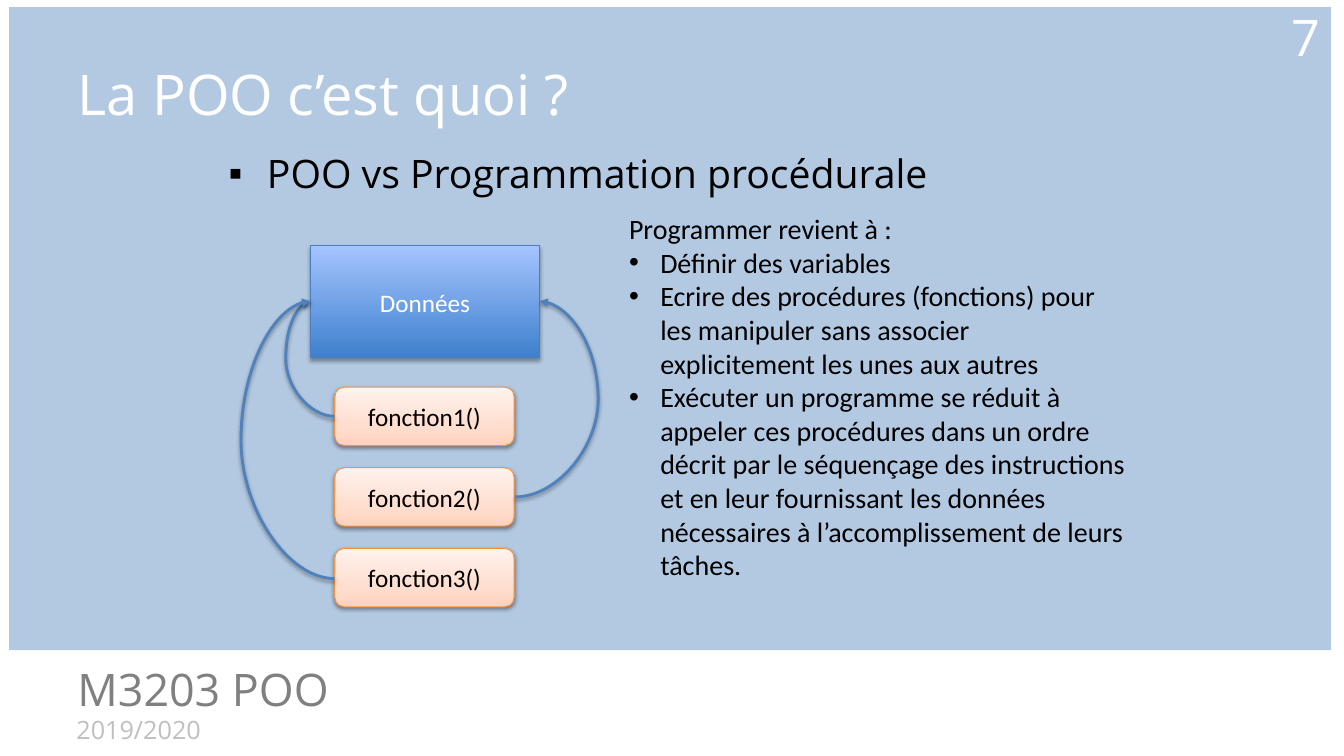
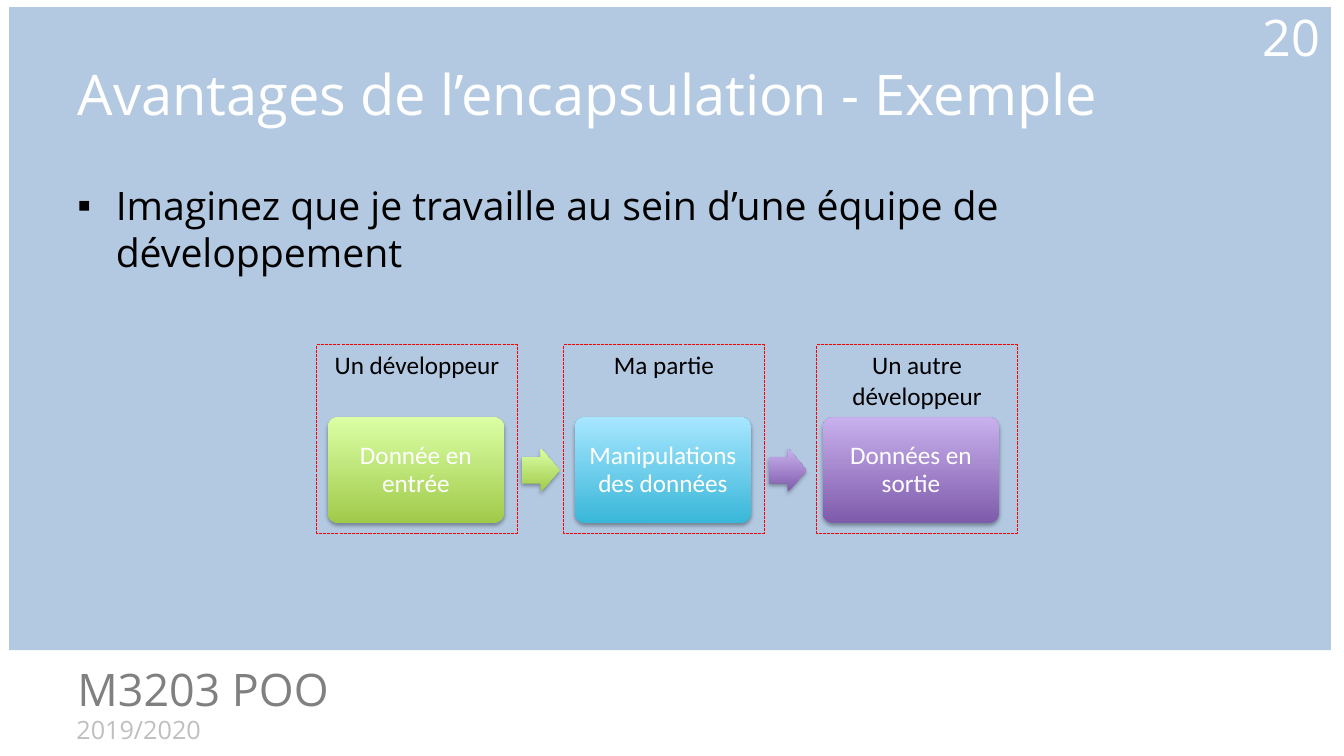
from copy import deepcopy
from dataclasses import dataclass

from lxml import etree
from pptx import Presentation
from pptx.dml.color import RGBColor
from pptx.enum.dml import MSO_LINE
from pptx.enum.shapes import MSO_CONNECTOR, MSO_SHAPE
from pptx.enum.text import MSO_ANCHOR, MSO_AUTO_SIZE, PP_ALIGN
from pptx.oxml.ns import qn
from pptx.util import Emu, Pt

RECTANGLE = MSO_SHAPE.RECTANGLE
ROUNDED = MSO_SHAPE.ROUNDED_RECTANGLE
ARROW = MSO_SHAPE.RIGHT_ARROW
CURVE = MSO_CONNECTOR.CURVE
DASH = MSO_LINE.SQUARE_DOT
LEFT, CENTER, RIGHT = PP_ALIGN.LEFT, PP_ALIGN.CENTER, PP_ALIGN.RIGHT
TOP, MIDDLE = MSO_ANCHOR.TOP, MSO_ANCHOR.MIDDLE

# Shared look
EMU_PER_PX = 9144  # 100 px to the inch
HEADING_FONT, BODY_FONT = "Open Sans", "Calibri"
WHITE, BLACK = "FFFFFF", "000000"
BAND, FOOTER, YEAR = "95B3D7", "808080", "BFBFBF"
CONNECTOR, FRAME = "4F81BD", "FF0000"

Box = tuple[int, int, int, int]
Point = tuple[int, int]


@dataclass(frozen=True)
class Style:
    size: int
    color: str = BLACK
    font: str = BODY_FONT
    align: PP_ALIGN = LEFT
    anchor: MSO_ANCHOR = TOP


@dataclass(frozen=True)
class Line:
    text: str
    bullet: str = ""
    indent: int = 0


@dataclass(frozen=True)
class Shadow:
    alpha: int
    blur: float
    distance: float


@dataclass(frozen=True)
class Look:
    stops: tuple[tuple[int, str], ...]
    shadow: Shadow
    outline: str = ""


@dataclass(frozen=True)
class Curve:
    begin: Point
    end: Point
    bend: float


@dataclass(frozen=True)
class Step:
    text: str
    look: Look
    frame_left: int
    owner: str


TITLE_STYLE = Style(40, WHITE, HEADING_FONT, LEFT, MIDDLE)
NUMBER_STYLE = Style(36, WHITE, HEADING_FONT, RIGHT, MIDDLE)
POINT_STYLE = Style(28, BLACK, HEADING_FONT)
LABEL_DARK = Style(18, BLACK, align=CENTER, anchor=MIDDLE)
LABEL_LIGHT = Style(18, WHITE, align=CENTER, anchor=MIDDLE)
OWNER_STYLE = Style(18, BLACK, align=CENTER)

STRONG_SHADOW = Shadow(35, 3.1, 1.8)
SOFT_SHADOW = Shadow(38, 3.1, 1.6)
DATA_LOOK = Look(((0, "3F80CE"), (100, "A4C4FF")), STRONG_SHADOW, "4B7EBC")
FUNCTION_LOOK = Look(
    ((0, "FFD2BD"), (35, "FFDED0"), (100, "FFF2ED")), SOFT_SHADOW, "F69240"
)
GREEN_LOOK = Look(((0, "A0CA4A"), (100, "DAFFA5")), STRONG_SHADOW)
CYAN_LOOK = Look(((0, "39B7D8"), (100, "A7E6FF")), STRONG_SHADOW)
PURPLE_LOOK = Look(((0, "7F5BAB"), (100, "C8B0ED")), STRONG_SHADOW)

# Slide contents
PROCEDURAL_LINES = [
    Line("Programmer revient à :"),
    Line("Définir des variables", "•", 31),
    Line(
        "Ecrire des procédures (fonctions) pour les manipuler sans associer "
        "explicitement les unes aux autres", "•", 31,
    ),
    Line(
        "Exécuter un programme se réduit à appeler ces procédures dans un ordre "
        "décrit par le séquençage des instructions et en leur fournissant les "
        "données nécessaires à l’accomplissement de leurs tâches.", "•", 31,
    ),
]
CURVES = [
    Curve((332, 413), (308, 299), 2.02),
    Curve((511, 493), (535, 299), 3.43),
    Curve((332, 574), (308, 299), 3.87),
]
STEPS = [
    Step("Donnée en entrée", GREEN_LOOK, 314, "Un développeur"),
    Step("Manipulations des données", CYAN_LOOK, 559, "Ma partie"),
    Step("Données en sortie", PURPLE_LOOK, 810, "Un autre développeur"),
]
ARROW_LOOKS = [GREEN_LOOK, PURPLE_LOOK]


def px(length: int) -> Emu:
    return Emu(length * EMU_PER_PX)


def color(value: str) -> RGBColor:
    return RGBColor.from_string(value)


def add_bullet(paragraph, line: Line) -> None:
    properties = paragraph._p.get_or_add_pPr()
    properties.set("marL", str(px(line.indent)))
    properties.set("indent", str(-px(line.indent)))
    etree.SubElement(properties, qn("a:buFont")).set("typeface", "Arial")
    etree.SubElement(properties, qn("a:buChar")).set("char", line.bullet)


def write(shape, lines: list[Line], style: Style) -> None:
    frame = shape.text_frame
    frame.word_wrap = True
    frame.auto_size = MSO_AUTO_SIZE.NONE
    frame.vertical_anchor = style.anchor
    for index, line in enumerate(lines):
        paragraph = frame.add_paragraph() if index else frame.paragraphs[0]
        paragraph.alignment = style.align
        if line.bullet:
            add_bullet(paragraph, line)
        run = paragraph.add_run()
        run.text = line.text
        run.font.name = style.font
        run.font.size = Pt(style.size)
        run.font.color.rgb = color(style.color)


def add_text(slide, box: Box, lines: list[Line], style: Style) -> None:
    write(slide.shapes.add_textbox(*map(px, box)), lines, style)


def add_plain_shape(slide, kind: MSO_SHAPE, box: Box):
    shape = slide.shapes.add_shape(kind, *map(px, box))
    shape.shadow.inherit = False
    shape.fill.background()
    shape.line.fill.background()
    return shape


def cast_shadow(effects, shadow: Shadow) -> None:
    outer = etree.SubElement(effects, qn("a:outerShdw"))
    outer.set("blurRad", str(Pt(shadow.blur)))
    outer.set("dist", str(Pt(shadow.distance)))
    outer.set("dir", "5400000")
    outer.set("rotWithShape", "0")
    shade = etree.SubElement(outer, qn("a:srgbClr"))
    shade.set("val", BLACK)
    etree.SubElement(shade, qn("a:alpha")).set("val", str(shadow.alpha * 1000))


def add_glossy_shape(slide, kind: MSO_SHAPE, box: Box, look: Look):
    shape = add_plain_shape(slide, kind, box)
    properties = shape.element.spPr
    shape.fill.gradient()
    shape.fill.gradient_angle = 90
    stop_list = properties.find(".//" + qn("a:gsLst"))
    while len(stop_list) < len(look.stops):
        stop_list.insert(1, deepcopy(stop_list[0]))
    for stop, (position, value) in zip(shape.fill.gradient_stops, look.stops):
        stop.position = position / 100
        stop.color.rgb = color(value)
    if look.outline:
        shape.line.color.rgb = color(look.outline)
        shape.line.width = Pt(0.75)
    cast_shadow(properties.find(qn("a:effectLst")), look.shadow)
    return shape


def add_curve(slide, curve: Curve) -> None:
    connector = slide.shapes.add_connector(
        CURVE, *map(px, curve.begin + curve.end)
    )
    connector.line.color.rgb = color(CONNECTOR)
    connector.line.width = Pt(2)
    properties = connector.element.spPr
    guides = properties.find(qn("a:prstGeom")).get_or_add_avLst()
    guide = etree.SubElement(guides, qn("a:gd"))
    guide.set("name", "adj1")
    guide.set("fmla", f"val {round(curve.bend * 100000)}")
    tail = etree.SubElement(properties.find(qn("a:ln")), qn("a:tailEnd"))
    tail.set("type", "triangle")
    cast_shadow(etree.SubElement(properties, qn("a:effectLst")), SOFT_SHADOW)


def add_base_slide(presentation, title: str, number: int):
    """Add a slide with the band, footers, title and number."""
    slide = presentation.slides.add_slide(presentation.slide_layouts[5])
    band = add_plain_shape(slide, RECTANGLE, (9, 7, 1311, 638))
    band.fill.solid()
    band.fill.fore_color.rgb = color(BAND)
    tint = band.element.spPr.find(".//" + qn("a:srgbClr"))
    etree.SubElement(tint, qn("a:alpha")).set("val", "71000")

    add_text(slide, (66, 704, 533, 40), [Line("2019/2020")],
             Style(18, YEAR, HEADING_FONT))
    add_text(slide, (67, 652, 683, 64), [Line("M3203 POO")],
             Style(32, FOOTER, HEADING_FONT))

    heading = slide.shapes.title
    heading.left, heading.top, heading.width, heading.height = map(
        px, (67, 30, 1200, 125)
    )
    write(heading, [Line(title)], TITLE_STYLE)
    # The band goes behind the title placeholder
    slide.shapes.element.append(heading.element)
    add_text(slide, (1150, 7, 169, 58), [Line(str(number))], NUMBER_STYLE)
    return slide


def build_procedural_slide(presentation) -> None:
    slide = add_base_slide(presentation, "La POO c’est quoi ?", 7)
    add_text(slide, (217, 143, 900, 457),
             [Line("POO vs Programmation procédurale", "▪", 38)], POINT_STYLE)

    # Data and the functions that reach it
    data = add_glossy_shape(slide, RECTANGLE, (308, 244, 227, 111), DATA_LOOK)
    write(data, [Line("Données")], LABEL_LIGHT)
    for index in range(3):
        box = (332, 384 + 80 * index, 178, 58)
        function = add_glossy_shape(slide, ROUNDED, box, FUNCTION_LOOK)
        write(function, [Line(f"fonction{index + 1}()")], LABEL_DARK)
    for curve in CURVES:
        add_curve(slide, curve)

    add_text(slide, (614, 205, 515, 380), PROCEDURAL_LINES, Style(20))


def build_example_slide(presentation) -> None:
    slide = add_base_slide(
        presentation, "Avantages de l’encapsulation - Exemple", 20
    )
    add_text(
        slide, (67, 175, 1200, 457),
        [Line("Imaginez que je travaille au sein d’une équipe de développement",
              "▪", 38)],
        POINT_STYLE,
    )

    # Steps of the process, each in the frame of its owner
    for index, step in enumerate(STEPS):
        offset = 491 * index // 2
        frame = add_plain_shape(
            slide, RECTANGLE, (step.frame_left, 342, 199, 187)
        )
        frame.line.color.rgb = color(FRAME)
        frame.line.width = Pt(0.75)
        frame.line.dash_style = DASH
        write(frame, [Line(step.owner)], OWNER_STYLE)

        card = add_glossy_shape(
            slide, ROUNDED, (325 + offset, 414, 175, 105), step.look
        )
        card.adjustments[0] = 0.1
        card.text_frame.margin_left = card.text_frame.margin_right = px(7)
        write(card, [Line(step.text)], LABEL_LIGHT)
        card.text_frame.paragraphs[0].line_spacing = 0.9

        if index < len(ARROW_LOOKS):
            arrow = add_glossy_shape(
                slide, ARROW, (518 + offset, 445, 37, 43), ARROW_LOOKS[index]
            )
            arrow.adjustments[0] = 0.6


def main() -> None:
    presentation = Presentation()
    presentation.slide_width, presentation.slide_height = px(1333), px(750)
    build_procedural_slide(presentation)
    build_example_slide(presentation)
    presentation.save("out.pptx")


if __name__ == "__main__":
    main()
